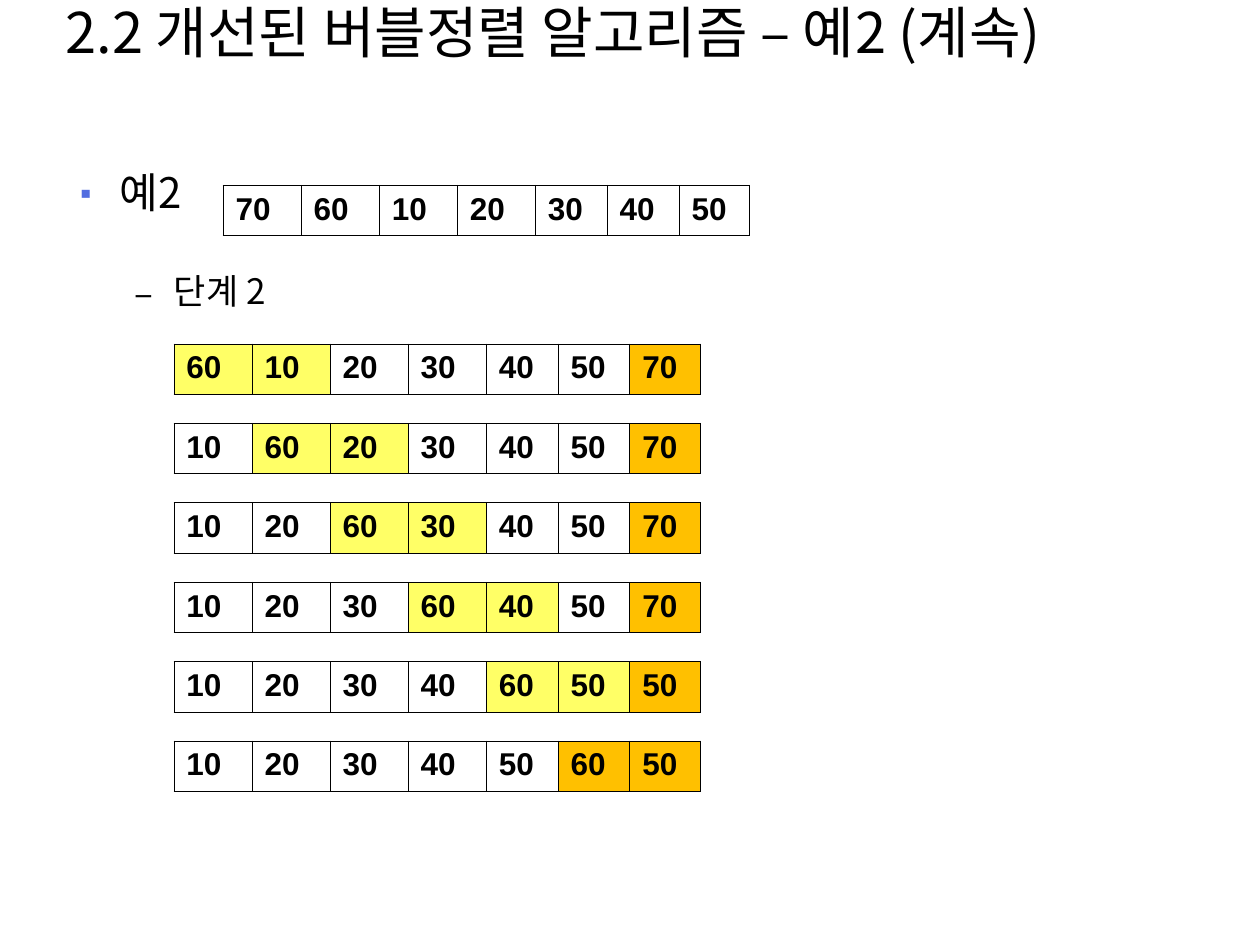
from lxml import etree
from pptx import Presentation
from pptx.dml.color import RGBColor
from pptx.enum import text
from pptx.oxml import ns
from pptx.util import Inches, Pt

BLACK = RGBColor(0x00, 0x00, 0x00)
BULLET_BLUE = RGBColor(0x52, 0x6D, 0xE0)
COMPARED = RGBColor(0xFF, 0xFF, 0x66)
SORTED = RGBColor(0xFF, 0xC0, 0x00)
KOREAN_FONT = "Noto Sans CJK KR"
NUMBER_FONT = "Arial"

COLUMN_WIDTHS = (0.62, 0.62, 0.62, 0.62, 0.57, 0.57, 0.56)
ROW_HEIGHT = 0.4
STEP_PITCH = 0.63
START_VALUES = (70, 60, 10, 20, 30, 40, 50)
STEPS = (
    (60, 10, 20, 30, 40, 50, 70),
    (10, 60, 20, 30, 40, 50, 70),
    (10, 20, 60, 30, 40, 50, 70),
    (10, 20, 30, 60, 40, 50, 70),
    (10, 20, 30, 40, 60, 50, 50),
    (10, 20, 30, 40, 50, 60, 50),
)


def add_element(parent, tag, **attributes):
    """Append a DrawingML element to the parent and return it."""
    return etree.SubElement(parent, ns.qn(tag), attributes)


def format_korean(paragraph, size):
    """Give a paragraph its Korean typeface, size and tight line spacing."""
    paragraph.alignment = text.PP_ALIGN.LEFT
    paragraph.line_spacing = 0.9
    for run in paragraph.runs:
        run.font.size = Pt(size)
        run.font.color.rgb = BLACK
        run.font.name = KOREAN_FONT
        add_element(run.font._element, "a:ea", typeface=KOREAN_FONT)


def set_bullet(paragraph, character, color, percent, margin, indent):
    """Set the bullet and hanging indent of a paragraph."""
    properties = paragraph._p.get_or_add_pPr()
    properties.set("marL", str(Inches(margin)))
    properties.set("indent", str(Inches(indent)))
    bullet_color = add_element(properties, "a:buClr")
    add_element(bullet_color, "a:srgbClr", val=str(color))
    add_element(properties, "a:buSzPct", val=str(percent * 1000))
    add_element(properties, "a:buFont", typeface=KOREAN_FONT)
    add_element(properties, "a:buChar", char=character)


def place_placeholder(shape, left, top, width, height):
    """Move a placeholder and anchor its text at the top."""
    shape.left, shape.top = Inches(left), Inches(top)
    shape.width, shape.height = Inches(width), Inches(height)
    frame = shape.text_frame
    frame.auto_size = text.MSO_AUTO_SIZE.NONE
    frame.vertical_anchor = text.MSO_ANCHOR.TOP
    frame.margin_top = Inches(0.04)
    return frame


def fill_title(shape, left, top, width, height):
    """Write the slide title in the given box."""
    frame = place_placeholder(shape, left, top, width, height)
    frame.text = "2.2 개선된 버블정렬 알고리즘 – 예2 (계속)"
    format_korean(frame.paragraphs[0], 32)


def fill_body(shape, left, top, width, height):
    """Write the example and step headings in the given box."""
    frame = place_placeholder(shape, left, top, width, height)
    frame.text = "예2\n단계 2"
    example, step = frame.paragraphs
    set_bullet(example, "▪", BULLET_BLUE, 70, 0.38, -0.38)
    example.space_before = Pt(0)
    format_korean(example, 24)
    step.level = 1
    set_bullet(step, "–", BLACK, 100, 0.81, -0.31)
    step.space_before = Pt(32)
    format_korean(step, 20)


def set_borders(cell):
    """Draw a thin black line on every side of a cell."""
    properties = cell._tc.get_or_add_tcPr()
    for position, side in enumerate(("a:lnL", "a:lnR", "a:lnT", "a:lnB")):
        line = etree.Element(ns.qn(side), w=str(Pt(0.45)))
        fill = add_element(line, "a:solidFill")
        add_element(fill, "a:srgbClr", val=str(BLACK))
        properties.insert(position, line)


def add_array(slide, left, top, values, fills):
    """Add a one-row table of values, with fills keyed by column."""
    frame = slide.shapes.add_table(
        1, len(values), Inches(left), Inches(top),
        Inches(sum(COLUMN_WIDTHS)), Inches(ROW_HEIGHT))
    table = frame.table
    table.first_row = table.horz_banding = False
    for index, value in enumerate(values):
        table.columns[index].width = Inches(COLUMN_WIDTHS[index])
        cell = table.cell(0, index)
        cell.text = str(value)
        font = cell.text_frame.paragraphs[0].runs[0].font
        font.name, font.size, font.bold = NUMBER_FONT, Pt(18), True
        font.color.rgb = BLACK
        if index in fills:
            cell.fill.solid()
            cell.fill.fore_color.rgb = fills[index]
        else:
            cell.fill.background()
        set_borders(cell)


def add_steps(slide, left, top):
    """Stack the arrays of the pass, marking compared and sorted cells."""
    last = len(STEPS) - 1
    for index, values in enumerate(STEPS):
        fills = {len(values) - 1: SORTED}
        if index < last:
            fills.update({index: COMPARED, index + 1: COMPARED})
        else:
            fills[index] = SORTED
        add_array(slide, left, top + index * STEP_PITCH, values, fills)


def main():
    """Build and save the presentation."""
    presentation = Presentation()
    presentation.slide_width = Inches(10)
    presentation.slide_height = Inches(7.5)
    slide = presentation.slides.add_slide(presentation.slide_layouts[1])
    fill_title(slide.shapes.title, 0.42, 0, 9.08, 0.84)
    fill_body(slide.placeholders[1], 0.47, 1.33, 9.06, 5.67)
    add_array(slide, 1.77, 1.47, START_VALUES, {})
    add_steps(slide, 1.38, 2.73)
    presentation.save("out.pptx")


if __name__ == "__main__":
    main()
